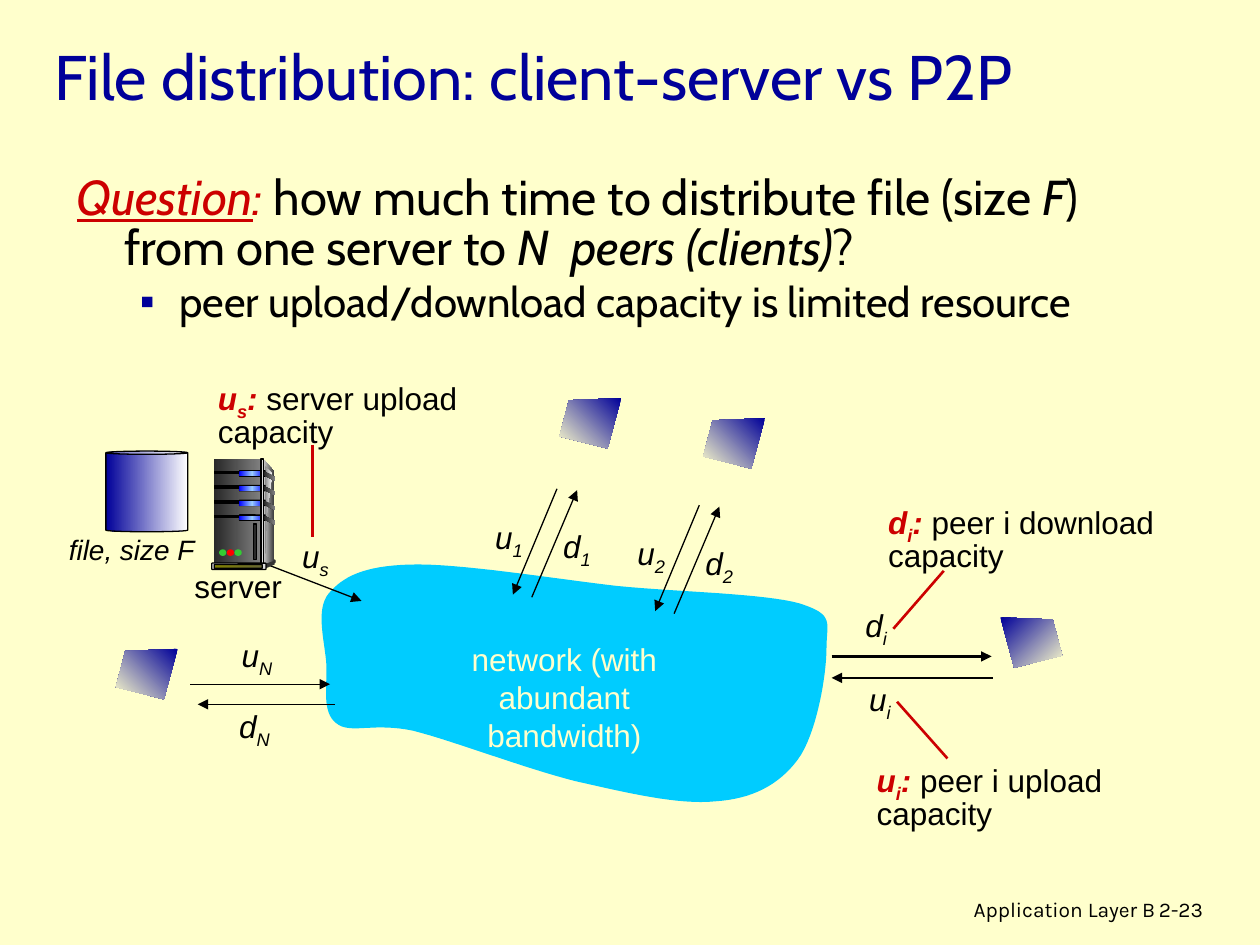
from copy import deepcopy

from lxml.etree import SubElement
from pptx import Presentation
from pptx.dml.color import RGBColor
from pptx.enum.shapes import MSO_CONNECTOR, MSO_SHAPE
from pptx.enum.text import MSO_ANCHOR, MSO_AUTO_SIZE, PP_ALIGN
from pptx.oxml.ns import qn
from pptx.util import Pt

COLORS = {
    "cream": "FFFFCC", "navy": "000099", "red": "CC0000", "black": "000000",
    "sky": "00CCFF", "white": "FFFFFF", "charcoal": "292929", "dark": "333333",
    "gray": "808080", "silver": "DDDDDD", "pale": "F8F8F8", "blue": "0000FF",
    "ice": "99CCFF", "olive": "808000", "moss": "666633", "green": "33CC33",
    "lamp": "FF0000",
}
NETWORK_START = (234.7, 322.6)
NETWORK_CURVES = [
    ((207.4, 323.3), (195.8, 329.8), (187.9, 339.1)),
    ((180, 348.5), (185.8, 367.2), (186.5, 379.4)),
    ((187.2, 391.7), (183.6, 406.8), (192.2, 413.3)),
    ((200.2, 419.8), (213.1, 412.6), (236.2, 417.6)),
    ((259.2, 423.4), (300.2, 439.2), (329, 446.4)),
    ((357.8, 452.9), (387.4, 460.1), (409, 457.9)),
    ((429.8, 456.5), (445, 448.6), (455.8, 434.2)),
    ((466.6, 419.8), (472.3, 385.9), (472.3, 370.8)),
    ((472.3, 355.7), (477.4, 351.4), (457.2, 344.9)),
    ((437, 339.1), (388.8, 338.4), (352.1, 334.8)),
    ((315.4, 330.5), (262.1, 321.8), NETWORK_START),
]
CURVE_STEPS = 16


def color(name):
    return RGBColor.from_string(COLORS[name])


def place(item, left, top, width, height):
    item.left, item.top, item.width, item.height = map(Pt, (left, top, width, height))


def paint(shape, fill, angle=0, outline=None):
    shape.shadow.inherit = False
    if isinstance(fill, str):
        shape.fill.solid()
        shape.fill.fore_color.rgb = color(fill)
    else:
        shape.fill.gradient()
        shape.fill.gradient_angle = -angle % 360
        stop_list = shape.fill._fill._gradFill.find(qn("a:gsLst"))
        while len(stop_list) < len(fill):
            stop_list.append(deepcopy(stop_list[-1]))
        for index, (stop, name) in enumerate(zip(shape.fill.gradient_stops, fill)):
            stop.color.rgb = color(name)
            stop.position = index / (len(fill) - 1)
    if outline:
        shape.line.color.rgb = color(outline)
        shape.line.width = Pt(0.75)
    else:
        shape.line.fill.background()


def add_preset(shapes, kind, left, top, width, height, fill, outline=None, adjustment=None):
    shape = shapes.add_shape(kind, *map(Pt, (left, top, width, height)))
    if adjustment is not None:
        shape.adjustments[0] = adjustment
    paint(shape, fill, outline=outline)
    return shape


def add_outline(shapes, points, fill, angle=0):
    start, *others = [(Pt(x), Pt(y)) for x, y in points]
    builder = shapes.build_freeform(*start)
    builder.add_line_segments(others, close=True)
    paint(builder.convert_to_shape(), fill, angle)


def add_line(shapes, start, end, name="black", width=0.75, arrow=True):
    line = shapes.add_connector(MSO_CONNECTOR.STRAIGHT, *map(Pt, (*start, *end)))
    line.line.color.rgb = color(name)
    line.line.width = Pt(width)
    if arrow:
        SubElement(line.line._get_or_add_ln(), qn("a:tailEnd"), type="triangle")
    SubElement(line._element.spPr, qn("a:effectLst"))


def add_span(para, text, size, font="Arial", name="black", bold=False, italic=False,
             underline=False, subscript=False):
    span = para.add_run()
    span.text = text
    span.font.size = Pt(size)
    span.font.name = font
    span.font.color.rgb = color(name)
    span.font.bold = bold
    span.font.italic = italic
    span.font.underline = underline
    if subscript:
        span._r.get_or_add_rPr().set("baseline", "-25000")


def add_box(shapes, left, top, width, height, align=PP_ALIGN.LEFT):
    box = shapes.add_textbox(*map(Pt, (left, top, width, height)))
    box.text_frame.word_wrap = True
    para = box.text_frame.paragraphs[0]
    para.alignment = align
    return para


def add_symbol(shapes, letter, index, left, top, width=48):
    para = add_box(shapes, left, top, width, 29)
    add_span(para, letter, 18, italic=True)
    add_span(para, index, 18, italic=True, subscript=True)


def add_definition(shapes, letter, index, meaning, left, top, width):
    para = add_box(shapes, left, top, width, 44)
    para.line_spacing = 0.85
    for text, subscript in ((letter, False), (index, True), (":", False)):
        add_span(para, text, 18, name="red", bold=True, italic=True, subscript=subscript)
    add_span(para, " " + meaning, 18)


def add_headings(page):
    title, body = page.placeholders
    place(title, 23.8, 12.2, 671, 61.2)
    title.text_frame.auto_size = MSO_AUTO_SIZE.NONE
    title.text_frame.vertical_anchor = MSO_ANCHOR.MIDDLE
    title.text_frame.paragraphs[0].alignment = PP_ALIGN.LEFT
    add_span(title.text_frame.paragraphs[0], "File distribution: client-server vs P2P",
             36, "Cabin", "navy")

    place(body, 36.7, 96.5, 650, 100)
    body.text_frame.auto_size = MSO_AUTO_SIZE.NONE
    question = body.text_frame.paragraphs[0]
    limit = body.text_frame.add_paragraph()
    limit.level = 1
    for para, margin, indent in ((question, 27, -27), (limit, 58.5, -22.5)):
        properties = para._p.get_or_add_pPr()
        properties.set("marL", str(Pt(margin)))
        properties.set("indent", str(Pt(indent)))
    SubElement(question._p.pPr, qn("a:buNone"))
    bullet_color = SubElement(limit._p.pPr, qn("a:buClr"))
    SubElement(bullet_color, qn("a:srgbClr"), val=COLORS["navy"])
    SubElement(limit._p.pPr, qn("a:buChar"), char="▪")
    question.line_spacing = limit.line_spacing = 0.85
    question.space_before, limit.space_before = Pt(0), Pt(4.8)
    add_span(question, "Question", 28, "Cabin", "red", italic=True, underline=True)
    add_span(question, ":", 28, "Cabin", "red", italic=True)
    for text, italic in ((" how much time to distribute file (size ", False), ("F", True),
                         (") from one server to ", False), ("N  peers (clients)", True),
                         ("?", False)):
        add_span(question, text, 28, "Cabin", italic=italic)
    add_span(limit, "peer upload/download capacity is limited resource", 24, "Cabin")


def add_network(shapes):
    points = [NETWORK_START]
    for first, second, end in NETWORK_CURVES:
        start = points[-1]
        for step in range(1, CURVE_STEPS + 1):
            t = step / CURVE_STEPS
            weights = ((1 - t) ** 3, 3 * t * (1 - t) ** 2, 3 * t ** 2 * (1 - t), t ** 3)
            corners = (start, first, second, end)
            points.append(tuple(sum(w * c[axis] for w, c in zip(weights, corners))
                                for axis in (0, 1)))
    add_outline(shapes, points[:-1], "sky")
    para = add_box(shapes, 222.5, 362.2, 200, 50, PP_ALIGN.CENTER)
    add_span(para, "network (with abundant", 18, name="cream")
    second_line = para._parent.add_paragraph()
    second_line.alignment = PP_ALIGN.CENTER
    add_span(second_line, "bandwidth)", 18, name="cream")


def add_peer(shapes, left, top, mirrored=False):
    corners = ((35.3, 0), (5.4, 1.2), (0, 21.9), (27.5, 28.8))
    points = [(left + (35.3 - x if mirrored else x), top + y) for x, y in corners]
    add_outline(shapes, points, ("navy", "cream"), 45 if mirrored else 135)


def add_exchange(page, index, left, top):
    shapes = page.shapes.add_group_shape().shapes
    add_symbol(shapes, "u", index, left, top)
    add_line(shapes, (left + 42.5, top - 13), (left + 17.3, top + 47.5))
    add_line(shapes, (left + 28.1, top + 49), (left + 54, top - 12.2))
    add_symbol(shapes, "d", index, left + 38.9, top + 5.5)


def add_server(page):
    shapes = page.shapes.add_group_shape().shapes
    rectangle, rounded, oval = MSO_SHAPE.RECTANGLE, MSO_SHAPE.ROUNDED_RECTANGLE, MSO_SHAPE.OVAL
    metal = ("charcoal", "gray")
    add_outline(shapes, [(151, 262.8), (157, 270), (157, 320.4), (149.8, 322.6)],
                ("silver", "dark"))
    add_preset(shapes, rectangle, 122.4, 262.2, 26.8, 60.3, metal)
    add_outline(shapes, [(151.2, 266.4), (155.5, 270.7), (152.4, 295), (151.2, 322)],
                ("gray", "pale"))
    for drive in range(4):
        top = 269.4 + 8.4 * drive
        add_preset(shapes, rectangle, 122.7, top, 15, 1.3, "black", "black")
        add_preset(shapes, rounded, 136.6, top - 0.7, 15.2, 3.8, "black", adjustment=0.11)
        add_preset(shapes, rounded, 136.8, top, 14.4, 2.8, ("blue", "ice", "blue"),
                   adjustment=0.11)
        add_outline(shapes, [(150.9, top), (157.1, top + 3.1), (157.1, top + 5.3),
                             (150.9, top + 2.2)], metal)
    add_preset(shapes, rectangle, 149.2, 262.2, 1.6, 60.3, ("dark", "silver", "dark"), "black")
    add_preset(shapes, oval, 156.2, 319.7, 1.4, 2.2, "dark")
    add_outline(shapes, [(150.5, 322.6), (150.5, 325.4), (157, 322.6), (157, 320.4)], "dark")
    add_preset(shapes, rounded, 121, 321.8, 31, 3.6, "silver", "black", 0.11)
    add_preset(shapes, rounded, 122.4, 322.6, 27.4, 2.2, ("olive", "moss"), "black", 0.11)
    for lamp, name in enumerate(("green", "lamp", "green")):
        add_preset(shapes, oval, 125.2 + 4.4 * lamp, 313.9, 4.2, 3.8, name)
    add_preset(shapes, rectangle, 144.7, 299.5, 2, 20.2, "charcoal", "black")


def main():
    deck = Presentation()
    deck.slide_width, deck.slide_height = Pt(720), Pt(540)
    page = deck.slides.add_slide(deck.slide_layouts[1])
    page.background.fill.solid()
    page.background.fill.fore_color.rgb = color("cream")
    shapes = page.shapes
    add_headings(page)
    add_span(add_box(shapes, 439.2, 509, 228.2, 22, PP_ALIGN.RIGHT),
             "Application Layer B", 12, "Karla")
    add_span(add_box(shapes, 655.2, 509, 53.3, 22), "2-23", 12, "Karla")
    add_network(shapes)
    for start, end, width in (((143.3, 319), (206.6, 343.4), 0.75),
                              ((108.7, 391), (188.6, 391), 0.75),
                              ((191.5, 402.5), (113, 402.5), 0.75),
                              ((475.2, 375.1), (566.6, 375.1), 1.5),
                              ((567.4, 387.4), (475.2, 387.4), 1.5)):
        add_line(shapes, start, end, width=width)
    add_symbol(shapes, "u", "s", 165.6, 303.1, 32)
    for letter, index, left, top in (("u", "N", 131, 360), ("d", "N", 129.6, 400.3),
                                     ("d", "i", 487.4, 342.7), ("u", "i", 489.6, 385.2)):
        add_symbol(shapes, letter, index, left, top)
    add_span(add_box(shapes, 90, 320.4, 92.2, 29, PP_ALIGN.CENTER), "server", 18)
    add_span(add_box(shapes, 20.2, 301, 110.2, 27, PP_ALIGN.CENTER),
             "file, size F", 16, italic=True)
    add_definition(shapes, "u", "s", "server upload capacity", 117.4, 214.6, 158.4)
    add_definition(shapes, "u", "i", "peer i upload capacity", 493.9, 432.7, 203.8)
    add_definition(shapes, "d", "i", "peer i download capacity", 500.4, 285.1, 167)
    add_preset(shapes, MSO_SHAPE.CAN, 60.5, 257.8, 46.8, 46.1, ("navy", "white"), "black", 0.04)
    add_exchange(page, "2", 357.1, 301.7)
    add_exchange(page, "1", 275.8, 292.3)
    for start, end in (((178.6, 254.2), (178.6, 306.7)), ((539.3, 326.2), (510.5, 359.3)),
                       ((541.4, 433.4), (512.6, 401))):
        add_line(shapes, start, end, "red", 1.5, arrow=False)
    add_server(page)
    for left, top, mirrored in ((66.2, 370.8, False), (319.7, 227.5, False),
                                (401.8, 239, False), (571.7, 352.8, True)):
        add_peer(shapes, left, top, mirrored)
    deck.save("out.pptx")


if __name__ == "__main__":
    main()
